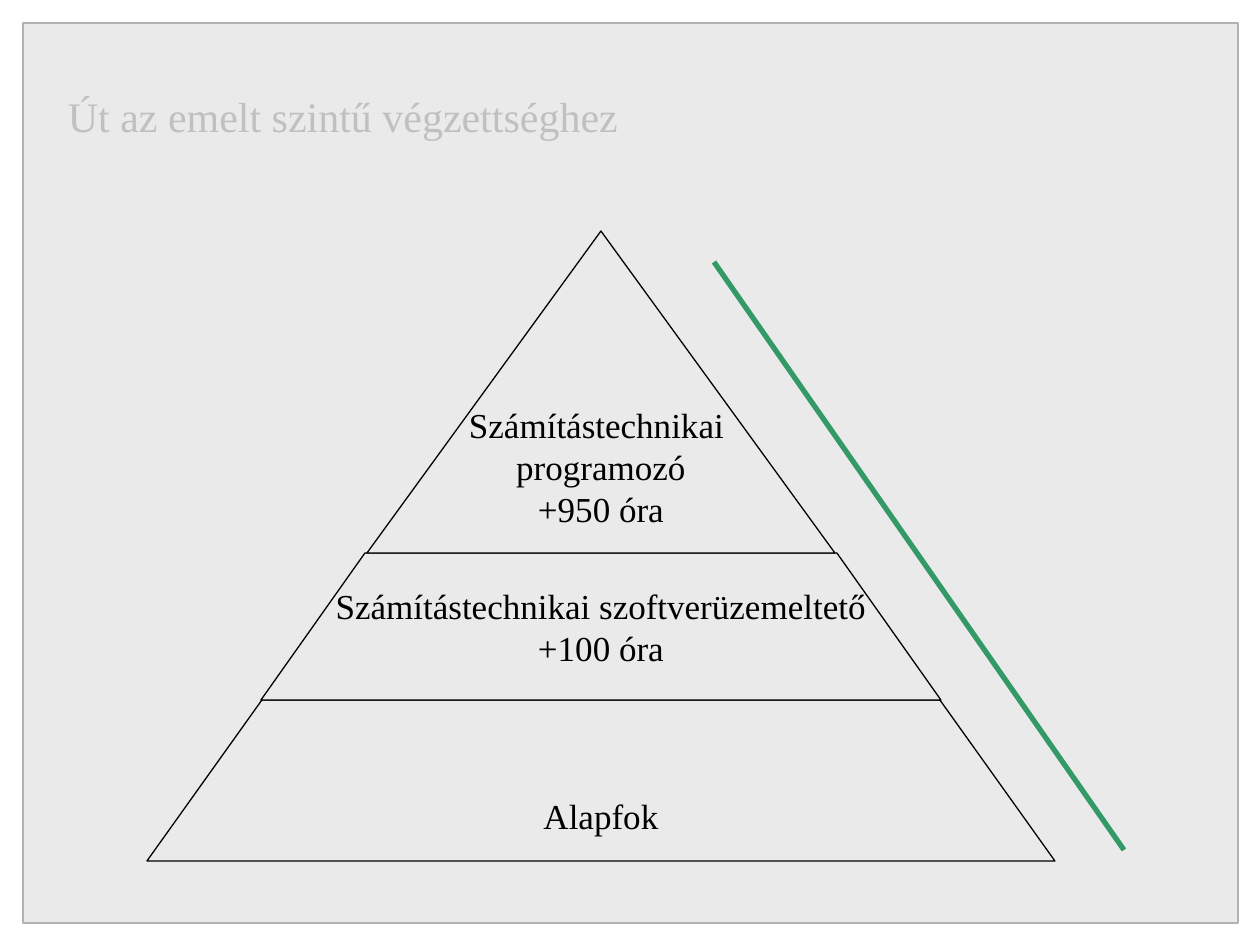
from pptx import Presentation
from pptx.dml.color import RGBColor
from pptx.enum.shapes import MSO_CONNECTOR as Conn, MSO_SHAPE as Shape
from pptx.enum.text import MSO_ANCHOR as Anchor, PP_ALIGN as Align
from pptx.oxml.ns import qn
from pptx.util import Pt
from lxml import etree

SCALE = 914400 / 126
FONT = "Times New Roman"
BLACK = RGBColor(0x00, 0x00, 0x00)
PALE = RGBColor(0xEA, 0xEA, 0xEA)
EDGE = RGBColor(0xB2, 0xB2, 0xB2)
GRAY = RGBColor(0xC0, 0xC0, 0xC0)
GREEN = RGBColor(0x33, 0x99, 0x66)

# top, bottom, half width at top and at bottom, text, anchor, bottom inset
TIERS = [
    (469, 630, 339, 454, ["Alapfok"], Anchor.BOTTOM, 24),
    (322, 469, 236, 340,
     ["Számítástechnikai szoftverüzemeltető", "+100 óra"], Anchor.MIDDLE, 0),
    (0, 322, 0, 234,
     ["Számítástechnikai ", "programozó", "+950 óra"], Anchor.BOTTOM, 23),
]


def px(n):
    return round(n * SCALE)


def write(shape, lines, size=20, color=BLACK, anchor=Anchor.MIDDLE,
          pitch=None, foot=0):
    frame = shape.text_frame
    frame.word_wrap = False
    frame.vertical_anchor = anchor
    frame.margin_left = frame.margin_right = frame.margin_top = 0
    frame.margin_bottom = px(foot)
    for i, line in enumerate(lines):
        para = frame.add_paragraph() if i else frame.paragraphs[0]
        para.alignment = Align.CENTER
        if pitch:
            para.line_spacing = Pt(pitch)
        run = para.add_run()
        run.text = line
        run.font.name = FONT
        run.font.size = Pt(size)
        run.font.color.rgb = color


def paint(shape, line):
    shape.shadow.inherit = False
    shape.fill.solid()
    shape.fill.fore_color.rgb = PALE
    shape.line.color.rgb = line
    shape.line.width = Pt(0.75)


def panel(slide, x, y, w, h):
    box = slide.shapes.add_shape(Shape.RECTANGLE, px(x), px(y), px(w), px(h))
    paint(box, EDGE)


def title(slide, x, y, w, h):
    box = slide.shapes.add_textbox(px(x), px(y), px(w), px(h))
    write(box, ["Út az emelt szintű végzettséghez"], size=24, color=GRAY)


def pyramid(slide, x, y, w):
    """Stack the tiers in one group around the middle of the width."""
    group = slide.shapes.add_group_shape()
    mid = x + w / 2
    for top, base, near, far, lines, anchor, foot in TIERS:
        spots = [(mid - far, y + base), (mid + far, y + base),
                 (mid + near, y + top), (mid - near, y + top)]
        first, *rest = [(px(a), px(b)) for a, b in spots]
        path = group.shapes.build_freeform(*first)
        path.add_line_segments(rest, close=True)
        tier = path.convert_to_shape()
        paint(tier, BLACK)
        write(tier, lines, anchor=anchor, pitch=24, foot=foot)


def slope(slide, x, y, w, h):
    line = slide.shapes.add_connector(
        Conn.STRAIGHT, px(x + w), px(y + h), px(x), px(y))
    line.line.color.rgb = GREEN
    line.line.width = Pt(3)
    etree.SubElement(line._element.spPr, qn("a:effectLst"))


def main():
    deck = Presentation()
    deck.slide_width, deck.slide_height = px(1260), px(945)
    slide = deck.slides.add_slide(deck.slide_layouts[6])
    panel(slide, 23, 23, 1215, 900)
    title(slide, 55, 84, 576, 63)
    pyramid(slide, 147, 231, 908)
    slope(slide, 714, 262, 410, 588)
    deck.save("out.pptx")


if __name__ == "__main__":
    main()
